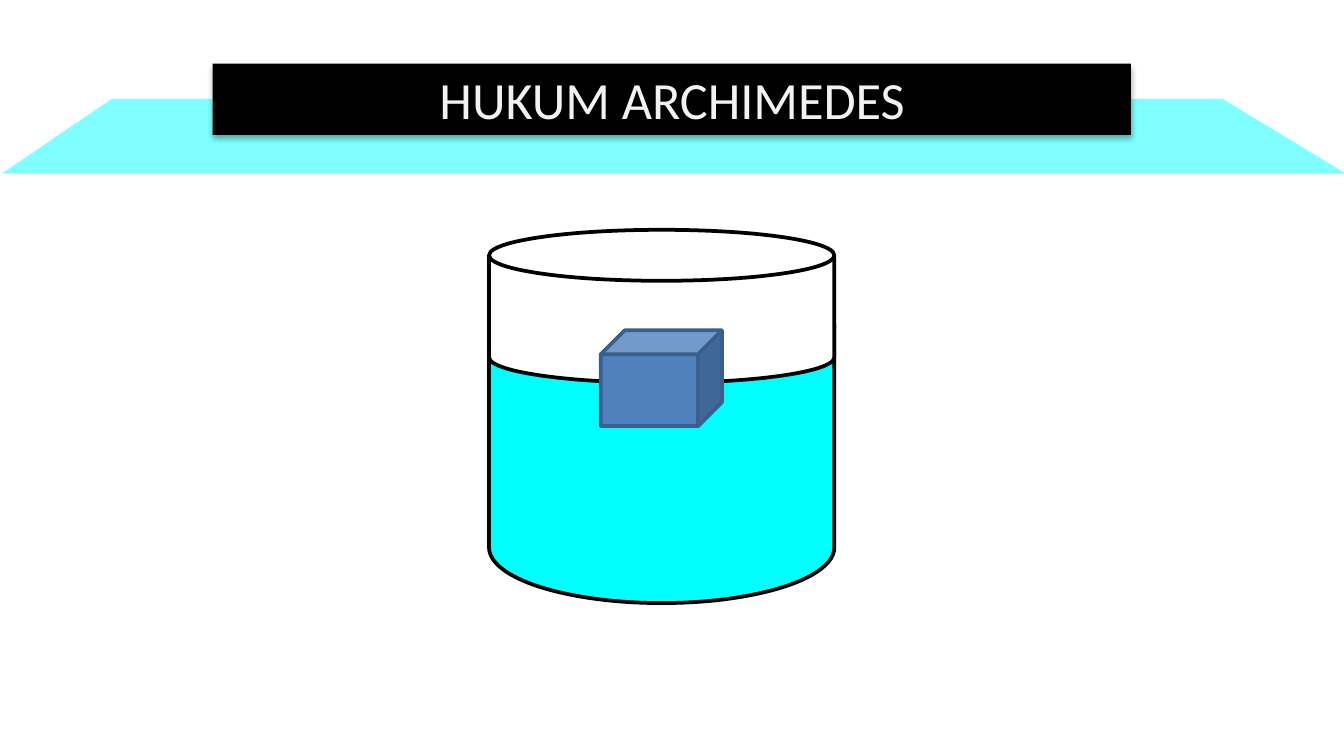
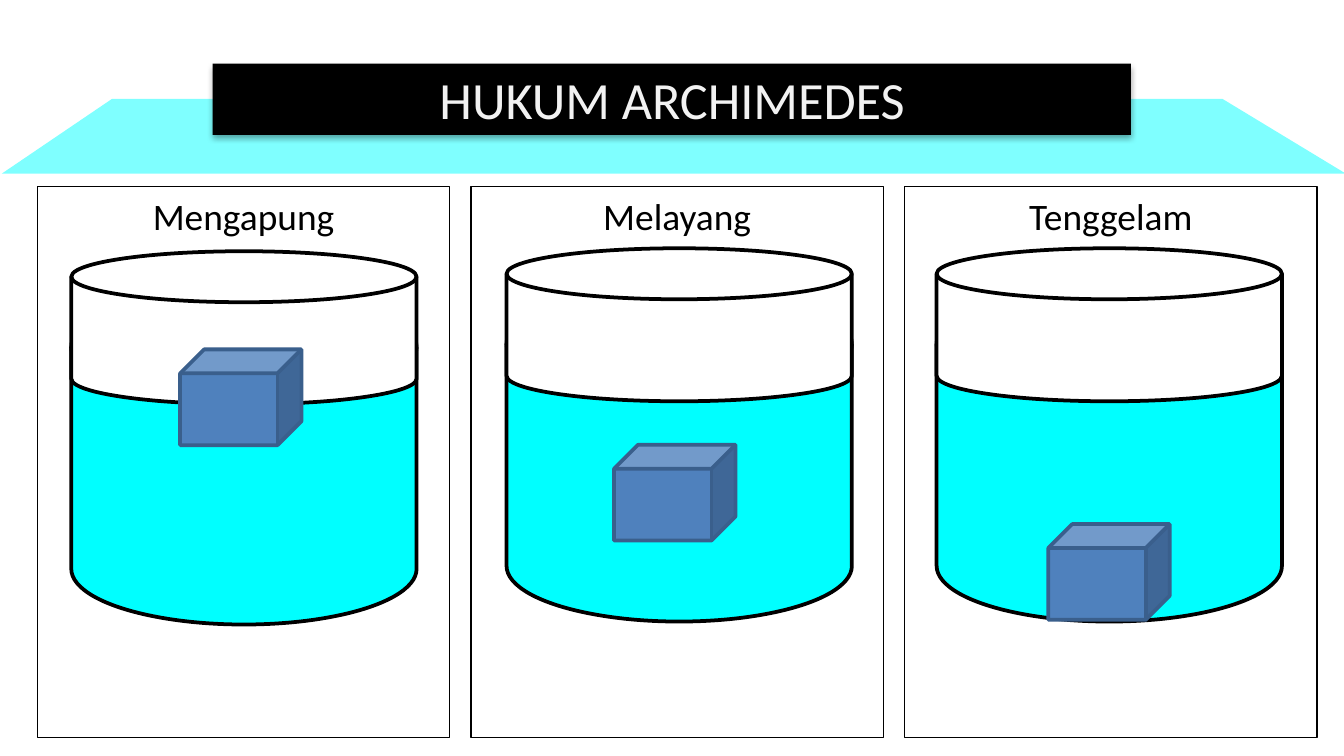
from lxml import etree
from pptx import Presentation
from pptx.dml.color import RGBColor
from pptx.enum import shapes, text
from pptx.oxml import ns, parse_xml
from pptx.util import Pt

AQUA = RGBColor(0x00, 0xFF, 0xFF)
BLACK = RGBColor(0x00, 0x00, 0x00)
WHITE = RGBColor(0xFF, 0xFF, 0xFF)
TITLE_GREY = RGBColor(0xF2, 0xF2, 0xF2)
CUBE_BLUE = RGBColor(0x4F, 0x81, 0xBD)
CUBE_EDGE = RGBColor(0x3A, 0x5F, 0x8C)
FONT = "Calibri"
SHAPE = shapes.MSO_SHAPE

PANEL_LEFT, PANEL_PITCH = 20, 232.3
STATES = [
    ("Mengapung", (38.2, 134.6), (96.5, 187.2)),
    ("Melayang", (271.4, 133), (329, 238.3)),
    ("Tenggelam", (501.8, 133), (561.6, 280.8)),
]


def add_box(s, kind, left, top, width, height, fill=None, line=None, weight=2):
    sp = s.shapes.add_shape(kind, Pt(left), Pt(top), Pt(width), Pt(height))
    sp.shadow.inherit = False
    if fill is None:
        sp.fill.background()
    else:
        sp.fill.solid()
        sp.fill.fore_color.rgb = fill
    if line is None:
        sp.line.fill.background()
    else:
        sp.line.color.rgb = line
        sp.line.width = Pt(weight)
    return sp


def set_text(sp, words, size, color, anchor):
    tf = sp.text_frame
    tf.text = words
    tf.word_wrap = True
    tf.auto_size = text.MSO_AUTO_SIZE.NONE
    tf.vertical_anchor = anchor
    p = tf.paragraphs[0]
    p.alignment = text.PP_ALIGN.CENTER
    p.font.name = FONT
    p.font.size = Pt(size)
    p.font.color.rgb = color


def add_band(s):
    builder = s.shapes.build_freeform(60, 53.3, scale=Pt(1))
    builder.add_line_segments([(655.2, 53.3), (720.7, 92.9), (0.7, 92.9)])
    sp = builder.convert_to_shape()
    sp.shadow.inherit = False
    sp.fill.solid()
    sp.fill.fore_color.rgb = AQUA
    sp.line.fill.background()
    color = sp.element.spPr.find(".//" + ns.qn("a:srgbClr"))
    etree.SubElement(color, ns.qn("a:alpha"), val="50000")


def add_shadow(sp):
    effects = sp.element.spPr.find(ns.qn("a:effectLst"))
    effects.append(parse_xml(
        f'<a:outerShdw {ns.nsdecls("a")} blurRad="{Pt(3.1)}" dist="{Pt(1.8)}" '
        'dir="5400000" rotWithShape="0"><a:srgbClr val="000000">'
        '<a:alpha val="35000"/></a:srgbClr></a:outerShdw>'))


def add_title_slide(prs, title):
    s = prs.slides.add_slide(prs.slide_layouts[5])
    add_band(s)
    add_shadow(add_box(s, SHAPE.RECTANGLE, 113.9, 34.1, 491.9, 38.2, BLACK))
    sp = s.shapes.title
    sp.left, sp.top, sp.width, sp.height = Pt(184.3), Pt(32.4), Pt(351.4), Pt(41)
    set_text(sp, title, 28, TITLE_GREY, text.MSO_ANCHOR.MIDDLE)
    sp.element.getparent().append(sp.element)
    return s


def add_panel(s, left, label):
    sp = add_box(s, SHAPE.RECTANGLE, left, 100, 221, 295.2, None, BLACK, 0.75)
    set_text(sp, label, 20, BLACK, text.MSO_ANCHOR.TOP)


def add_beaker(s, left, top):
    disk = SHAPE.FLOWCHART_MAGNETIC_DISK
    add_box(s, disk, left, top + 21.4, 185, 178.6, AQUA, BLACK)
    add_box(s, disk, left, top, 185, 82, WHITE, BLACK)


def add_cube(s, left, top):
    add_box(s, SHAPE.CUBE, left, top, 65, 51.3, CUBE_BLUE, CUBE_EDGE)


def main():
    prs = Presentation()
    prs.slide_width, prs.slide_height = Pt(720), Pt(405)

    s = add_title_slide(prs, "HUKUM ARCHIMEDES")
    add_beaker(s, 262, 123.1)
    add_cube(s, 321.8, 177)

    s = add_title_slide(prs, "HUKUM ARCHIMEDES")
    for i, (label, beaker, cube) in enumerate(STATES):
        add_panel(s, PANEL_LEFT + i * PANEL_PITCH, label)
        add_beaker(s, *beaker)
        add_cube(s, *cube)

    prs.save("out.pptx")


if __name__ == "__main__":
    main()
